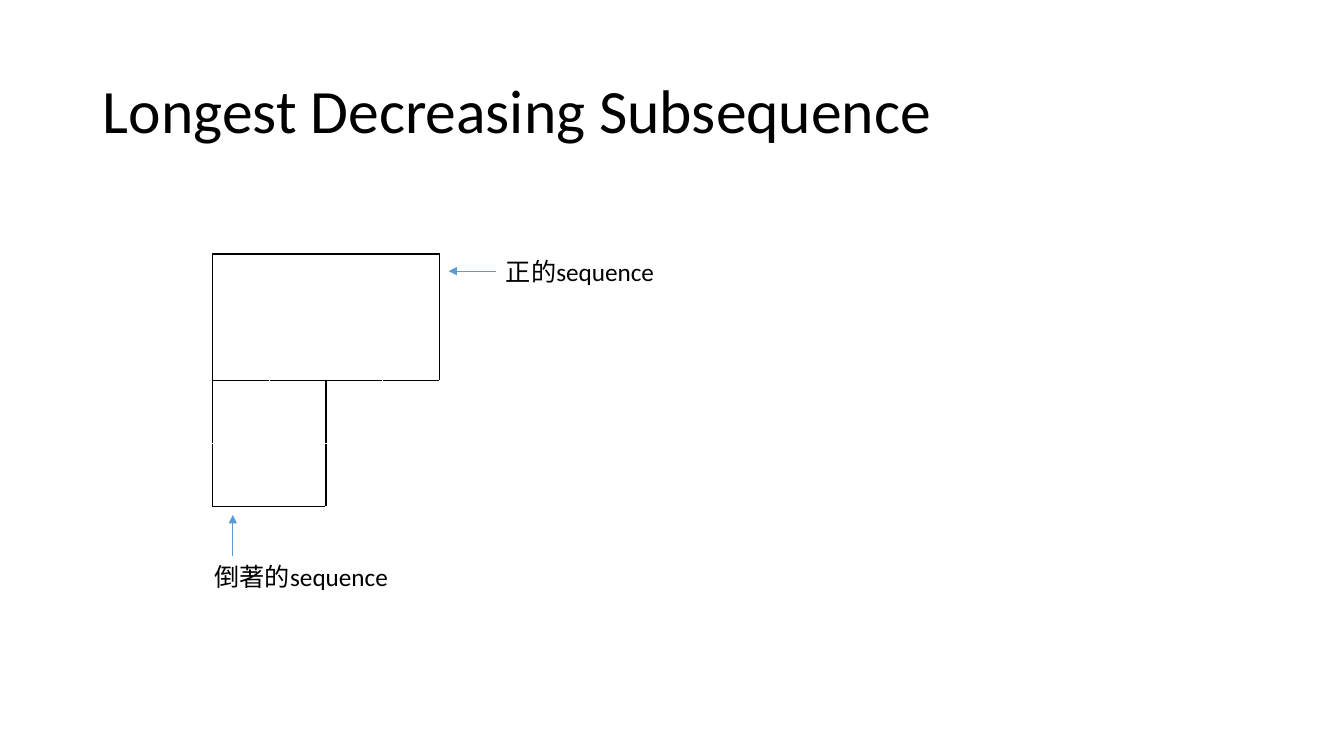
"""Build the Longest Decreasing Subsequence slide with its L-shaped table."""
from pptx import Presentation
from pptx import util as u
from pptx.dml.color import RGBColor
from pptx.enum import shapes, text
from pptx.oxml import parse_xml
from pptx.oxml.ns import nsdecls, qn

BLACK = RGBColor(0x00, 0x00, 0x00)
WHITE = RGBColor(0xFF, 0xFF, 0xFF)
BLUE = RGBColor(0x5B, 0x9B, 0xD5)
NO_STYLE = "{2D5ABB26-0587-4C30-8999-92F81FD0307C}"


def write(frame, words, size):
    para = frame.paragraphs[0]
    para.alignment = text.PP_ALIGN.LEFT
    span = para.add_run()
    span.text = words
    span.font.name = "Calibri"
    span.font.size = u.Pt(size)
    span.font.color.rgb = BLACK
    return para


def border(side, color):
    return parse_xml(
        f'<a:ln{side} {nsdecls("a")} w="12700"><a:solidFill>'
        f'<a:srgbClr val="{color}"/></a:solidFill></a:ln{side}>'
    )


deck = Presentation()
deck.slide_width, deck.slide_height = u.Inches(13.333), u.Inches(7.5)
page = deck.slides.add_slide(deck.slide_layouts[5])

title = page.shapes.title
title.left, title.top = u.Inches(0.92), u.Inches(0.4)
title.width, title.height = u.Inches(11.5), u.Inches(1.45)
title.text_frame.vertical_anchor = text.MSO_ANCHOR.MIDDLE
write(title.text_frame, "Longest Decreasing Subsequence", 44).line_spacing = 0.9

# Capital letters mark black sides and small letters mark white ones.
EDGES = [
    ["LT", "T", "T", "TR"],
    ["LB", "B", "B", "RB"],
    ["LTrb", "lTRb", "LTrb", "lTrb"],
    ["LtrB", "ltRB", "Ltrb", "ltrb"],
]
table_frame = page.shapes.add_table(
    4, 4, u.Inches(2.11), u.Inches(2.52), u.Inches(2.25), u.Inches(2.51)
)
table = table_frame.table
table.first_row = table.horz_banding = False
table_frame._element.find(".//" + qn("a:tableStyleId")).text = NO_STYLE
for row, row_edges in enumerate(EDGES):
    for column, edges in enumerate(row_edges):
        cell = table.cell(row, column)
        cell.fill.background()
        properties = cell._tc.get_or_add_tcPr()
        marks = sorted(edges, key=lambda mark: "LRTB".index(mark.upper()))
        for place, mark in enumerate(marks):
            color = BLACK if mark.isupper() else WHITE
            properties.insert(place, border(mark.upper(), color))

for words, left, top in [("正的sequence", 4.92, 2.49), ("倒著的sequence", 2.03, 5.52)]:
    box = page.shapes.add_textbox(
        u.Inches(left), u.Inches(top), u.Inches(2.89), u.Inches(0.4)
    )
    box.text_frame.word_wrap = True
    box.text_frame.auto_size = text.MSO_AUTO_SIZE.SHAPE_TO_FIT_TEXT
    write(box.text_frame, words, 18)

for ends in [(2.31, 5.52, 2.31, 5.11), (4.92, 2.69, 4.45, 2.69)]:
    arrow = page.shapes.add_connector(
        shapes.MSO_CONNECTOR.STRAIGHT, *[u.Inches(end) for end in ends]
    )
    arrow.line.color.rgb = BLUE
    arrow.line.width = u.Pt(0.5)
    arrow.line._get_or_add_ln().append(
        parse_xml(f'<a:tailEnd {nsdecls("a")} type="triangle"/>')
    )
    arrow._element.spPr.append(parse_xml(f'<a:effectLst {nsdecls("a")}/>'))

deck.save("out.pptx")
